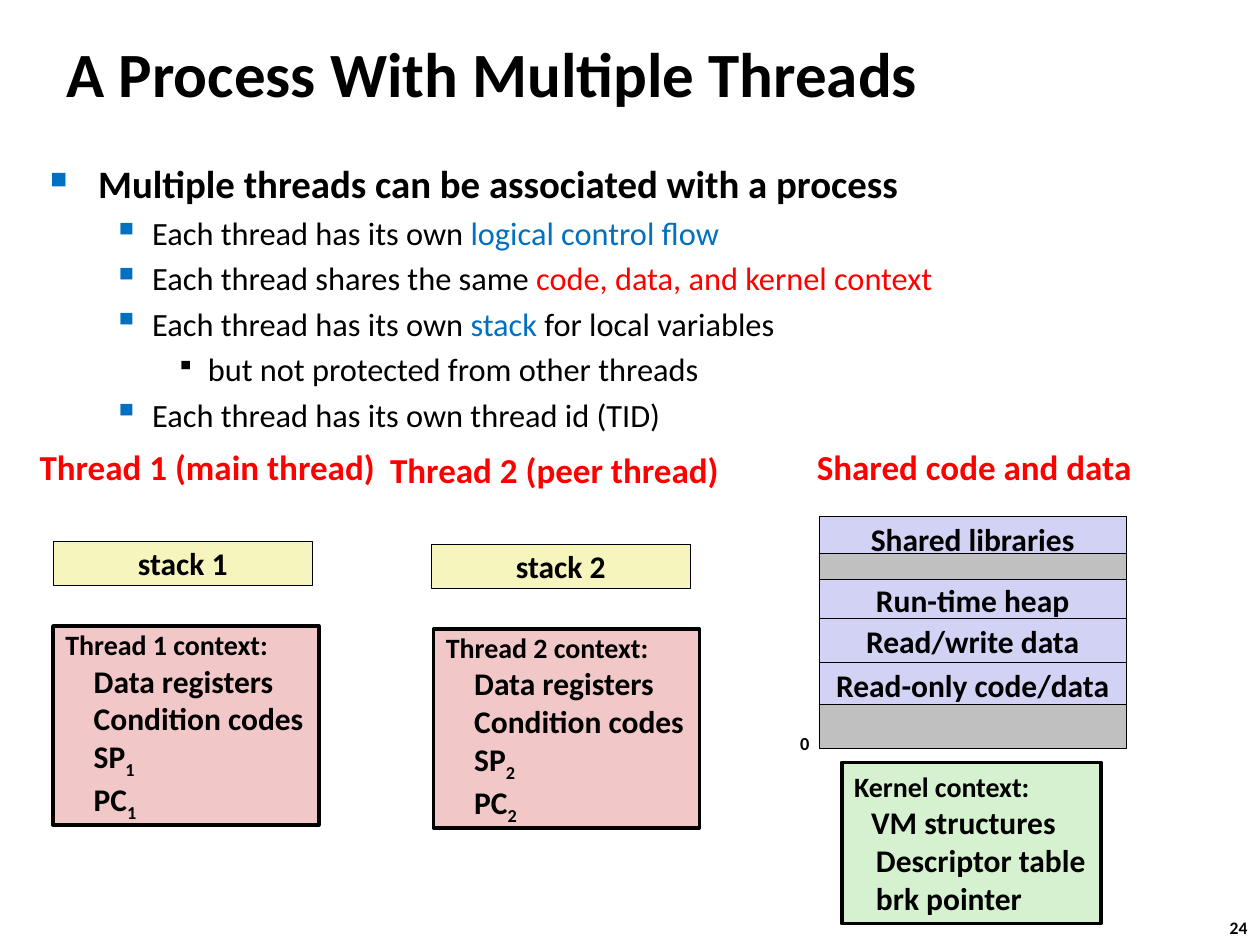
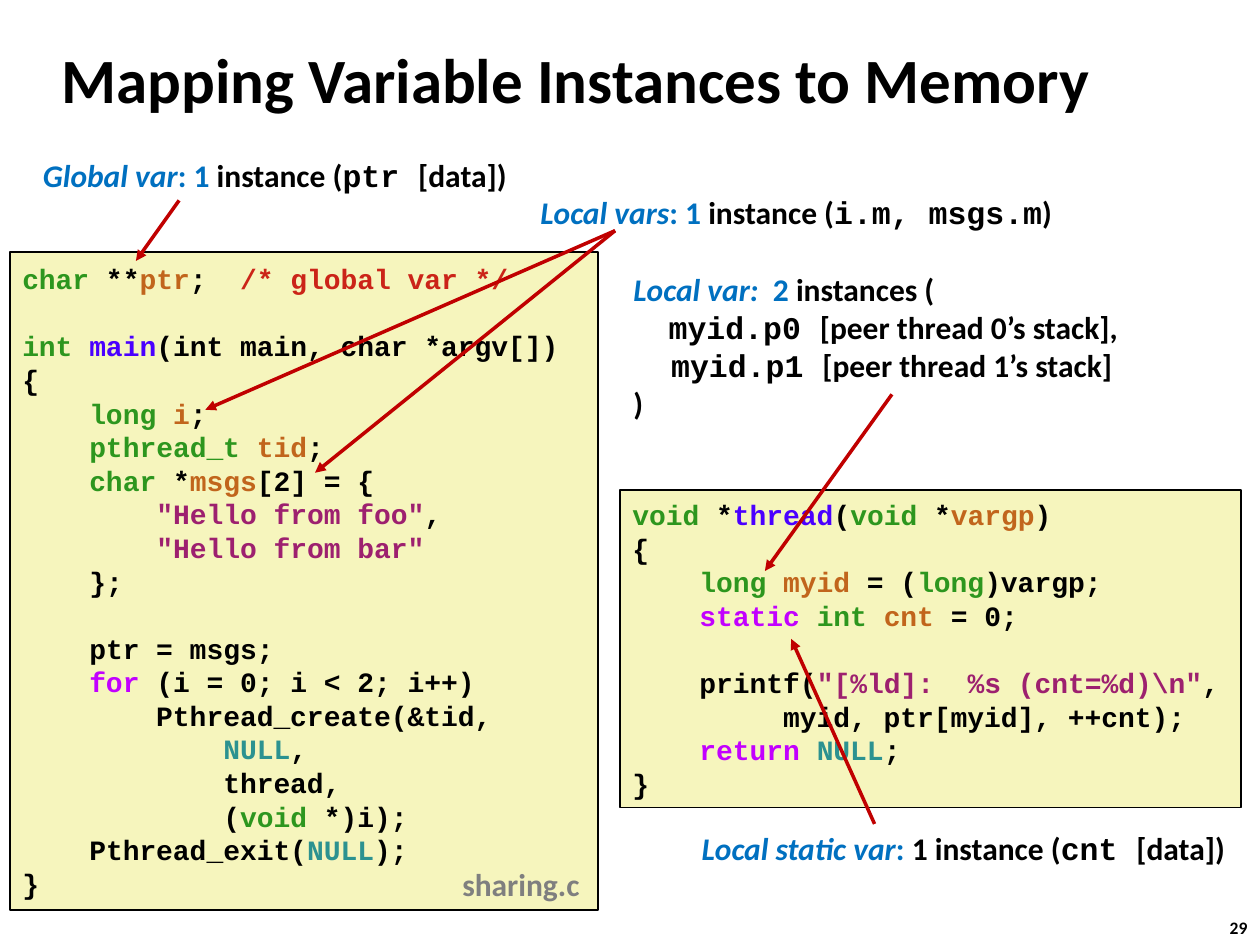
"""Build two lecture slides on threads: process layout and variable mapping."""
import lxml.etree
import pptx
import pptx.dml.color
import pptx.enum.shapes
import pptx.enum.text
import pptx.oxml.ns
import pptx.util

Cm, Pt = pptx.util.Cm, pptx.util.Pt
qn = pptx.oxml.ns.qn


class Theme:
    black, blue, red, grey = "000000", "0070C0", "FF0000", "7F7F7F"
    cream, pink, lilac, silver, mint = "F6F5BD", "F1C7C7", "D2D2F4", "C0C0C0", "D5F1CF"
    arrow = "C00000"
    text = {"name": "Calibri", "size": Pt(18), "bold": True, "color": black}
    title = text | {"size": Pt(36)}
    head = text | {"size": Pt(20), "color": red}
    page = text | {"size": Pt(10)}
    zero = text | {"size": Pt(10.5)}
    file = text | {"color": grey}
    lead = text | {"size": Pt(22.2)}
    point = text | {"size": Pt(18.5), "bold": False}
    code = text | {"name": "Courier New", "size": Pt(16)}
    marks = {
        "k": {},
        "h": {"size": Pt(16)},
        "b": {"color": blue},
        "r": {"color": red},
        "i": {"color": blue, "italic": True},
        "m": {"name": "Courier New"},
        "_": {"base": "-25000"},
        "g": {"color": "2D961E"},
        "o": {"color": "C1651C"},
        "c": {"color": "CB2418"},
        "f": {"color": "4A00FF"},
        "s": {"color": "9D206F"},
        "w": {"color": "C200FF"},
        "n": {"color": "2C9290"},
    }


TITLES = [
    ("A Process With Multiple Threads", (1.09, 0.41, 21.08, 2.11), "24"),
    ("Mapping Variable Instances to Memory", (0.99, 0.53, 23.57, 2.11), "29"),
]
PAGE_AT = (24.54, 18.36, 0.94, 0.69)

LEVELS = [
    {"left": 0.97, "hang": 0.97, "char": "■", "color": Theme.blue, "size": 60, "font": Theme.lead},
    {"left": 2.06, "hang": 0.79, "char": "▪", "color": Theme.blue, "size": 110, "font": Theme.point},
    {"left": 3.18, "hang": 0.64, "char": "▪", "color": Theme.black, "size": 80, "font": Theme.point},
]
BODY_AT = (0.76, 3.1, 23.09, 5.16)
POINTS = [
    (0, "Multiple threads can be associated with a process"),
    (1, "Each thread has its own ~blogical control flow"),
    (1, "Each thread shares the same ~rcode, data, and kernel context"),
    (1, "Each thread has its own ~bstack~k for local variables"),
    (2, "but not protected from other threads"),
    (1, "Each thread has its own thread id (TID)"),
]

HEAD_TOP, HEAD_W, HEAD_H = 8.84, 7.34, 1.12
THREADS = [
    {"num": 1, "role": "main", "mid": 4.18, "stack": 1.07, "regs": 1.07, "drop": 0},
    {"num": 2, "role": "peer", "mid": 11.18, "stack": 8.69, "regs": 8.74, "drop": 0.06},
]
REGS = ["Data registers", "Condition codes", "SP~_{num}", "PC~_{num}"]
SHARED = ("Shared code and data", 19.64)
AREA_X, AREA_W = 16.51, 6.2
AREAS = [
    ("Shared libraries", 10.41, 0.89),
    ("", 11.15, 0.71),
    ("Run-time heap", 11.68, 0.81),
    ("Read/write data", 12.47, 0.89),
    ("Read-only code/data", 13.36, 0.89),
    ("", 14.2, 0.89),
]
ZERO_AT = (15.88, 14.63, 0.71, 0.71)
KERNEL_AT = (16.97, 15.37, 5.23, 3.25)
KERNEL = ["~hKernel context:", (0.34, "VM structures"),
          (0.44, "Descriptor table"), (0.44, "brk pointer")]

CODES = [
    ((0.2, 5.08, 11.86, 13.26), r'''~gchar~k **~optr~k;  ~c/* global var */

~gint ~fmain~k(int main, char *argv[])
{
    ~glong ~oi~k;
    ~gpthread_t ~otid~k;
    ~gchar~k *~omsgs~k[2] = {
        ~s"Hello from foo"~k,
        ~s"Hello from bar"
    };

    ptr = msgs;
    ~wfor~k (i = 0; i < 2; i++)
        Pthread_create(&tid,
            ~nNULL~k,
            thread,
            (~gvoid~k *)i);
    Pthread_exit(~nNULL~k);
}'''),
    ((12.5, 9.88, 12.52, 6.4), r'''~gvoid~k *~fthread~k(~gvoid~k *~ovargp~k)
{
    ~glong ~omyid~k = (~glong~k)vargp;
    ~wstatic ~gint ~ocnt~k = 0;

    printf(~s"[%ld]:  %s (cnt=%d)\n"~k,
         myid, ptr[myid], ++cnt);
    ~wreturn ~nNULL~k;
}'''),
]
FILE = ("sharing.c", (9.07, 17.3, 3.1, 1.02))
NOTES = [
    ((0.56, 3.15, 9.96, 0.76), True, ["~iGlobal var~b: 1~k instance (~mptr ~k[data])"]),
    ((13.82, 16.71, 11.2, 0.76), True, ["~iLocal static var~b: ~k1 instance (~mcnt ~k[data])"]),
    ((10.59, 3.89, 10.92, 0.76), True, ["~iLocal vars~b: 1~k instance (~mi.m, msgs.m~k)"]),
    ((12.52, 5.44, 10.74, 3.07), False, [
        "~iLocal var:~b  2~k instances (",
        (0.71, "~mmyid.p0 ~k[peer thread 0’s stack],"),
        (0.76, "~mmyid.p1 ~k[peer thread 1’s stack]"),
        ")",
    ]),
]
LOCALS = (12.4, 4.65)
ARROWS = [
    ((3.61, 4.04), (2.74, 5.26)),
    ((17.63, 16.61), (15.95, 12.88)),
    (LOCALS, (4.14, 8.26)),
    ((17.98, 7.95), (15.42, 11.51)),
    (LOCALS, (6.35, 9.53)),
]


def rgb(hue):
    return pptx.dml.color.RGBColor.from_string(hue)


def write(para, line, font):
    first, *rest = line.split("~")
    for key, part in [("k", first)] + [(bit[0], bit[1:]) for bit in rest]:
        if not part:
            continue
        run = para.add_run()
        run.text = part
        for name, value in (font | Theme.marks[key]).items():
            if name == "color":
                run.font.color.rgb = rgb(value)
            elif name == "base":
                run.font._element.set("baseline", value)
            else:
                setattr(run.font, name, value)


def indent(para, left, hang=0):
    props = para._p.get_or_add_pPr()
    props.set("marL", str(Cm(left)))
    props.set("indent", str(-Cm(hang)))
    return props


def box(slide, at, lines, font=Theme.text, fill=None, edge=0.25, mid=False, flat=False, pitch=None):
    area = [Cm(size) for size in at]
    if fill:
        shape = slide.shapes.add_shape(pptx.enum.shapes.MSO_SHAPE.RECTANGLE, *area)
        shape.shadow.inherit = False
        shape.fill.solid()
        shape.fill.fore_color.rgb = rgb(fill)
        shape.line.color.rgb = rgb(Theme.black)
        shape.line.width = Pt(edge)
    else:
        shape = slide.shapes.add_textbox(*area)
    frame = shape.text_frame
    form = {"word_wrap": not mid, "vertical_anchor": pptx.enum.text.MSO_ANCHOR.MIDDLE}
    if flat:
        form |= {"margin_top": 0, "margin_bottom": 0}
    for name, value in form.items():
        setattr(frame, name, value)
    align = pptx.enum.text.PP_ALIGN
    for spot, line in enumerate(lines):
        para = frame.add_paragraph() if spot else frame.paragraphs[0]
        para.alignment = align.CENTER if mid else align.LEFT
        if pitch:
            para.line_spacing = pitch
        if isinstance(line, tuple):
            left, line = line
            indent(para, left)
        write(para, line, font)
    return shape


def bullets(slide):
    frame = box(slide, BODY_AT, []).text_frame
    frame.vertical_anchor = pptx.enum.text.MSO_ANCHOR.TOP
    for spot, (depth, line) in enumerate(POINTS):
        para = frame.add_paragraph() if spot else frame.paragraphs[0]
        level = LEVELS[depth]
        if spot:
            para.space_before = Pt(3.7)
        props = indent(para, level["left"], level["hang"])
        tint = lxml.etree.SubElement(props, qn("a:buClr"))
        lxml.etree.SubElement(tint, qn("a:srgbClr"), val=level["color"])
        lxml.etree.SubElement(props, qn("a:buSzPct"), val=str(level["size"] * 1000))
        lxml.etree.SubElement(props, qn("a:buChar"), char=level["char"])
        write(para, line, level["font"])


def arrow(slide, start, end):
    kind = pptx.enum.shapes.MSO_CONNECTOR.STRAIGHT
    link = slide.shapes.add_connector(kind, *[Cm(size) for size in start + end])
    link.line.color.rgb = rgb(Theme.arrow)
    link.line.width = Pt(2)
    lxml.etree.SubElement(link.line._get_or_add_ln(), qn("a:tailEnd"), type="triangle")
    lxml.etree.SubElement(link._element.spPr, qn("a:effectLst"))


def header(slide, text, mid, drop=0):
    at = (mid - HEAD_W / 2, HEAD_TOP + drop, HEAD_W, HEAD_H)
    box(slide, at, [text], Theme.head, mid=True)


def threads(slide):
    bullets(slide)
    for item in THREADS:
        num, drop = item["num"], item["drop"]
        header(slide, f"Thread {num} ({item['role']} thread)", item["mid"], drop)
        box(slide, (item["stack"], 10.91 + drop, 5.23, 0.89), [f"stack {num}"],
            fill=Theme.cream, mid=True)
        regs = [(0.57, line.format(num=num)) for line in REGS]
        box(slide, (item["regs"], 12.62 + drop, 5.36, 4.01),
            [f"~hThread {num} context:"] + regs, fill=Theme.pink, edge=2)
    header(slide, *SHARED)
    for name, top, high in AREAS:
        box(slide, (AREA_X, top, AREA_W, high), [name] if name else [],
            fill=Theme.lilac if name else Theme.silver, mid=True)
    box(slide, ZERO_AT, ["0"], Theme.zero)
    box(slide, KERNEL_AT, KERNEL, fill=Theme.mint, edge=2)


def mapping(slide):
    for at, code in CODES:
        box(slide, at, code.split("\n"), Theme.code, fill=Theme.cream, edge=1, pitch=Pt(19.2))
    for at, mid, lines in NOTES:
        box(slide, at, lines, mid=mid, flat=True)
    for start, end in ARROWS:
        arrow(slide, start, end)
    name, at = FILE
    box(slide, at, [name], Theme.file)


def main():
    deck = pptx.Presentation()
    deck.slide_width, deck.slide_height = Cm(25.4), Cm(19.05)
    for (title, at, page), draw in zip(TITLES, (threads, mapping)):
        slide = deck.slides.add_slide(deck.slide_layouts[6])
        box(slide, at, [title], Theme.title)
        box(slide, PAGE_AT, [page], Theme.page)
        draw(slide)
    deck.save("out.pptx")


if __name__ == "__main__":
    main()
